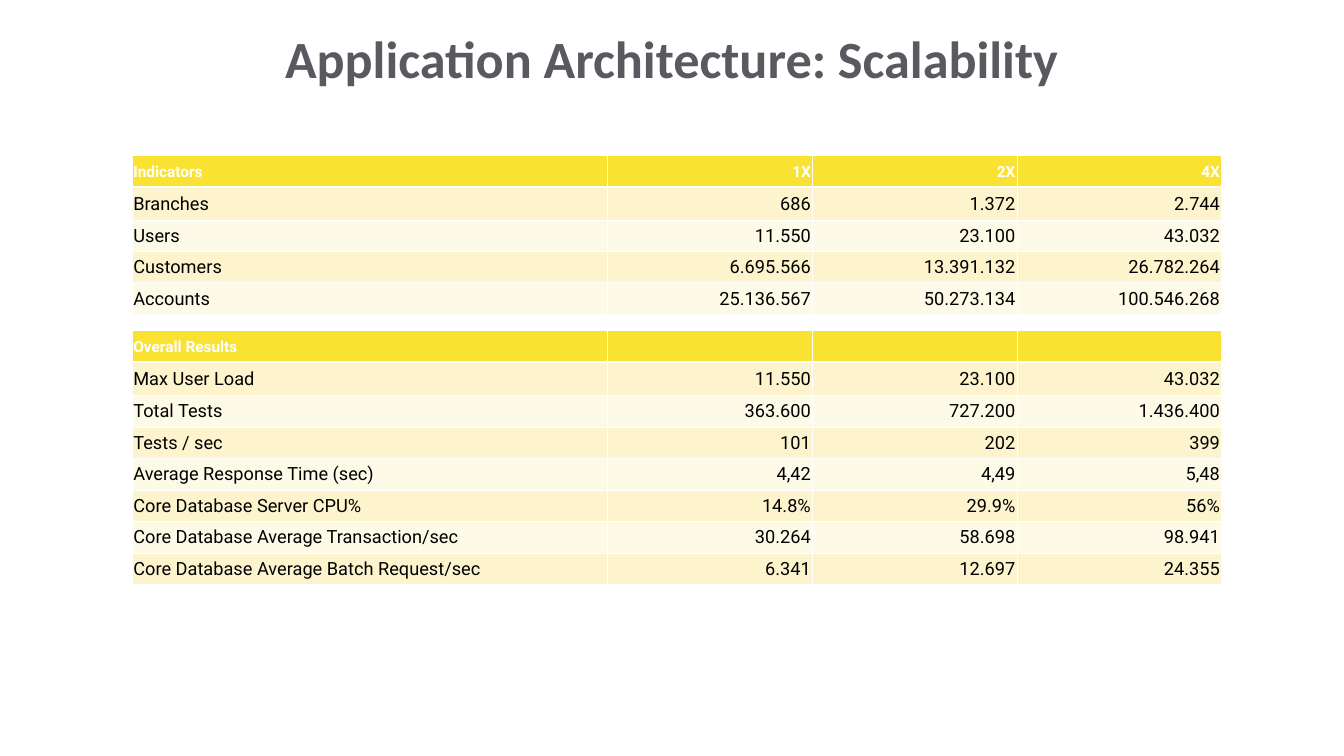
"""Build the scalability slide: a title above two banded tables."""
from dataclasses import dataclass

from lxml import etree
from pptx import Presentation
from pptx.dml.color import RGBColor
from pptx.enum import text
from pptx.oxml import ns
from pptx.util import Cm, Pt


@dataclass(frozen=True)
class Theme:
    """Colours, fonts and type sizes of the slide."""
    title_font: str = "Calibri"
    table_font: str = "Roboto"
    title_size: float = 74.7
    header_size: float = 22
    body_size: float = 26
    title: str = "59595F"
    header: str = "FAE232"
    bands: tuple = ("FDF4CE", "FEFAE8")
    body: str = "000000"
    white: str = "FFFFFF"


THEME = Theme()
TABLE_LEFT = 6.65
COLUMN_WIDTHS = (23.98, 10.31, 10.31, 10.31)
INDICATORS = (
    ("Indicators", "1X", "2X", "4X"),
    ("Branches", "686", "1.372", "2.744"),
    ("Users", "11.550", "23.100", "43.032"),
    ("Customers", "6.695.566", "13.391.132", "26.782.264"),
    ("Accounts", "25.136.567", "50.273.134", "100.546.268"),
)
RESULTS = (
    ("Overall Results", "", "", ""),
    ("Max User Load", "11.550", "23.100", "43.032"),
    ("Total Tests", "363.600", "727.200", "1.436.400"),
    ("Tests / sec", "101", "202", "399"),
    ("Average Response Time (sec)", "4,42", "4,49", "5,48"),
    ("Core Database Server CPU%", "14.8%", "29.9%", "56%"),
    ("Core Database Average Transaction/sec", "30.264", "58.698", "98.941"),
    ("Core Database Average Batch Request/sec", "6.341", "12.697", "24.355"),
)


def style_font(font, name, size, colour, bold):
    """Set the face, size, colour and weight of a font."""
    font.name = name
    font.size = Pt(size)
    font.bold = bold
    font.color.rgb = RGBColor.from_string(colour)


def add_title(page, words):
    """Add the centred slide title."""
    box = page.shapes.add_textbox(Cm(2.64), Cm(1.17), Cm(62.43), Cm(3.45))
    frame = box.text_frame
    frame.word_wrap = True
    frame.vertical_anchor = text.MSO_ANCHOR.MIDDLE
    para = frame.paragraphs[0]
    para.text = words
    para.alignment = text.PP_ALIGN.CENTER
    style_font(para.font, THEME.title_font, THEME.title_size, THEME.title, True)


def set_borders(cell, bottom):
    """Draw white cell borders with a given bottom width in points."""
    properties = cell._tc.get_or_add_tcPr()
    widths = {"a:lnL": 1, "a:lnR": 1, "a:lnT": 1, "a:lnB": bottom}
    for index, (tag, width) in enumerate(widths.items()):
        line = etree.Element(ns.qn(tag), w=str(Pt(width)))
        fill = etree.SubElement(line, ns.qn("a:solidFill"))
        etree.SubElement(fill, ns.qn("a:srgbClr"), val=THEME.white)
        properties.insert(index, line)


def fill_cell(cell, words, row, column):
    """Write and style one cell according to its row and column."""
    header = row == 0
    cell.margin_left = cell.margin_right = Cm(0.07)
    cell.margin_top, cell.margin_bottom = Cm(0.05), Cm(0)
    cell.vertical_anchor = text.MSO_ANCHOR.MIDDLE
    cell.fill.solid()
    colour = THEME.header if header else THEME.bands[(row - 1) % 2]
    cell.fill.fore_color.rgb = RGBColor.from_string(colour)
    set_borders(cell, 3 if header or row == 0 else 1)
    para = cell.text_frame.paragraphs[0]
    para.text = words
    para.alignment = text.PP_ALIGN.RIGHT if column else text.PP_ALIGN.LEFT
    size, ink = ((THEME.header_size, THEME.white) if header
                 else (THEME.body_size, THEME.body))
    style_font(para.font, THEME.table_font, size, ink, header)


def add_banded_table(page, top, row_height, records):
    """Add a table whose first body row is slightly taller."""
    heights = [row_height] * len(records)
    heights[1] += 0.08
    frame = page.shapes.add_table(
        len(records), len(COLUMN_WIDTHS), Cm(TABLE_LEFT), Cm(top),
        Cm(sum(COLUMN_WIDTHS)), Cm(sum(heights)))
    table = frame.table
    for column, width in zip(table.columns, COLUMN_WIDTHS):
        column.width = Cm(width)
    for row, (height, record) in enumerate(zip(heights, records)):
        table.rows[row].height = Cm(height)
        for column, words in enumerate(record):
            fill_cell(table.cell(row, column), words, row, column)


def main():
    """Assemble and save the deck."""
    deck = Presentation()
    deck.slide_width, deck.slide_height = Cm(67.74), Cm(38.1)
    page = deck.slides.add_slide(deck.slide_layouts[6])
    add_title(page, "Application Architecture: Scalability")
    add_banded_table(page, 7.85, 1.58, INDICATORS)
    add_banded_table(page, 16.66, 1.59, RESULTS)
    deck.save("out.pptx")


if __name__ == "__main__":
    main()
